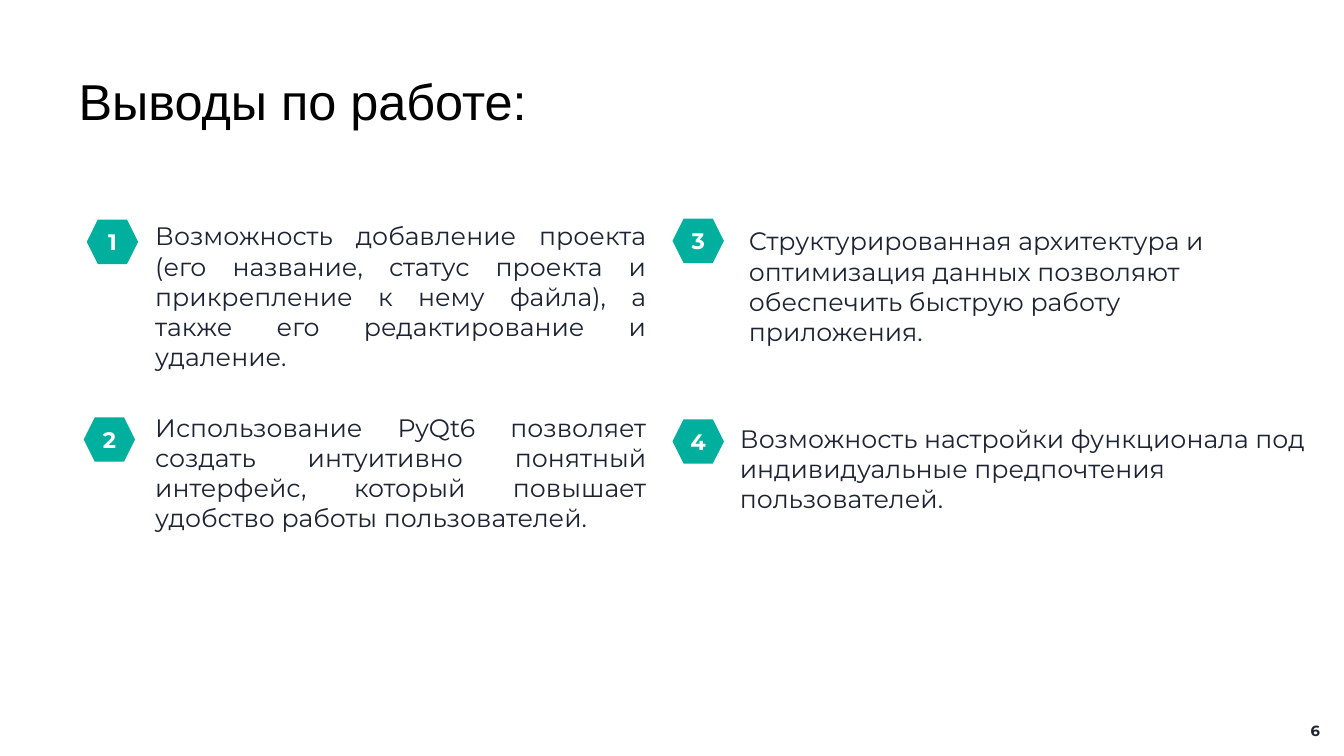
"""Builds the conclusions slide with four numbered points."""
from dataclasses import dataclass

from pptx import Presentation
from pptx import util as u
from pptx.dml.color import RGBColor
from pptx.enum import shapes, text

PX = u.Inches(1) // 100


@dataclass(frozen=True)
class Theme:
    """Holds the colours, fonts and type sizes of the slide."""
    ink: str = "1D2332"
    accent: str = "00AF9D"
    white: str = "FFFFFF"
    black: str = "000000"
    heading_font: str = "Arial"
    body_font: str = "Montserrat"
    heading_size: float = 36
    body_size: float = 18
    badge_size: float = 16
    page_size: float = 10.5


THEME = Theme()
ALIGN = text.PP_ALIGN
ANCHOR = text.MSO_ANCHOR

LEFT_POINTS = [
    "Возможность добавление проекта (его название, статус проекта и "
    "прикрепление к нему файла), а также его редактирование и удаление.",
    "Использование PyQt6 позволяет создать интуитивно понятный интерфейс, "
    "который повышает удобство работы пользователей.",
]
RIGHT_POINTS = [
    ("Структурированная архитектура и оптимизация данных позволяют "
     "обеспечить быструю работу приложения.", (733, 219, 473, 131)),
    ("Возможность настройки функционала под индивидуальные предпочтения "
     "пользователей.", (724, 415, 605, 101)),
]
BADGE_CORNERS = [(86, 218), (83, 414), (667, 217), (667, 416)]


def place(corner_and_size):
    """Turns px lengths into EMU."""
    return [length * PX for length in corner_and_size]


def write(box, lines, size, color, font=THEME.body_font, bold=False,
          align=ALIGN.LEFT, anchor=ANCHOR.TOP, inset=(0, 0)):
    """Fills a shape with paragraphs in one style and returns them."""
    frame = box.text_frame
    frame.word_wrap = True
    frame.vertical_anchor = anchor
    frame.margin_left = frame.margin_right = inset[0] * PX
    frame.margin_top = frame.margin_bottom = inset[1] * PX
    frame.text = "\n".join(lines)
    for para in frame.paragraphs:
        para.alignment = align
        for span in para.runs:
            span.font.name = font
            span.font.size = u.Pt(size)
            span.font.bold = bold
            span.font.color.rgb = RGBColor.from_string(color)
    return frame.paragraphs


def add_text(page, area, lines, size, color, **style):
    """Adds a text box and returns its paragraphs."""
    box = page.shapes.add_textbox(*place(area))
    return write(box, lines, size, color, **style)


def add_badge(page, corner, number):
    """Adds a numbered hexagon."""
    badge = page.shapes.add_shape(shapes.MSO_SHAPE.HEXAGON,
                                  *place((*corner, 51, 44)))
    badge.shadow.inherit = False
    badge.fill.solid()
    badge.fill.fore_color.rgb = RGBColor.from_string(THEME.accent)
    badge.line.fill.background()
    write(badge, [str(number)], THEME.badge_size, THEME.white, bold=True,
          align=ALIGN.CENTER, anchor=ANCHOR.MIDDLE)


def main():
    """Builds and saves the deck."""
    deck = Presentation()
    deck.slide_width, deck.slide_height = place((1333, 750))
    page = deck.slides.add_slide(deck.slide_layouts[6])

    heading = add_text(page, (78, 76, 946, 55), ["Выводы по работе:"],
                       THEME.heading_size, THEME.black,
                       font=THEME.heading_font, anchor=ANCHOR.MIDDLE)
    heading[0].line_spacing = 0.9

    points = add_text(page, (154, 219, 487, 313), LEFT_POINTS,
                      THEME.body_size, THEME.ink, align=ALIGN.JUSTIFY)
    points[1].space_before = u.Pt(28.5)

    for number, corner in enumerate(BADGE_CORNERS, start=1):
        add_badge(page, corner, number)
    for point, area in RIGHT_POINTS:
        add_text(page, area, [point], THEME.body_size, THEME.ink,
                 inset=(10, 5))
    add_text(page, (1268, 712, 51, 26), ["6"], THEME.page_size, THEME.ink,
             bold=True, align=ALIGN.RIGHT, anchor=ANCHOR.MIDDLE,
             inset=(10, 5))

    deck.save("out.pptx")


if __name__ == "__main__":
    main()
